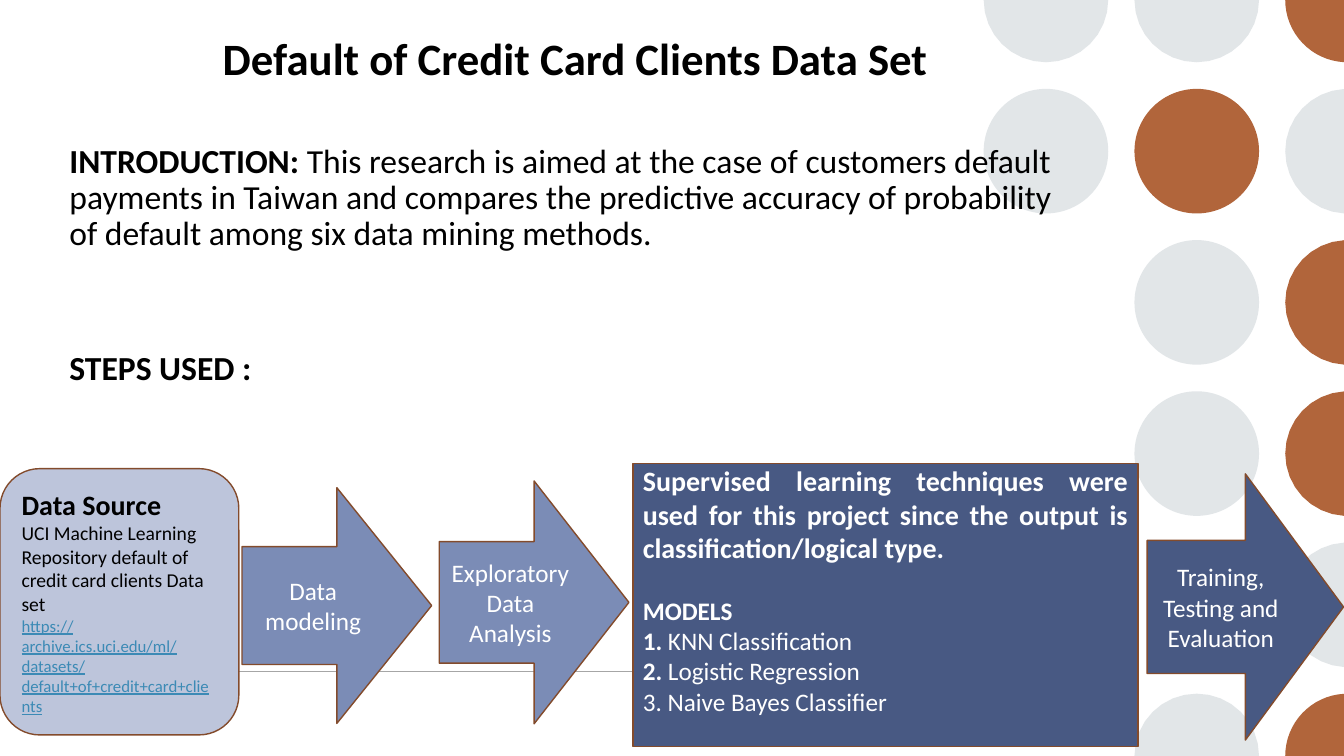
from math import acos, cos, pi, sin

from lxml.etree import SubElement
from pptx import Presentation
from pptx.dml.color import RGBColor
from pptx.enum.shapes import MSO_CONNECTOR as Connector, MSO_SHAPE as Shape
from pptx.enum.text import MSO_ANCHOR as Anchor, MSO_AUTO_SIZE as AutoSize, PP_ALIGN as Align
from pptx.oxml.ns import qn
from pptx.util import Cm, Pt

COLORS = {
    "grey": "E2E6E8", "rust": "B1653B", "rule": "A6A6A6", "border": "834B2C",
    "pale": "BDC5DB", "mid": "7B8CB6", "deep": "485983",
    "black": "000000", "white": "FFFFFF", "link": "3C8AB5",
}
SLIDE_W, SLIDE_H = 33.87, 19.05

# Circle pattern, one string per row: g = grey, r = rust, . = empty
CIRCLE_ROWS = ["ggr", "grg", ".gr", ".gr", "..g", ".gr"]
CIRCLE_COLORS = {"g": "grey", "r": "rust"}
FIRST_X, PITCH_X, PITCH_Y, RADIUS = 26.36, 3.8, 3.81, 1.57
ARC_STEPS = 16

# A paragraph is (paragraph format, [(text, font format), ...])
TITLE = [({"alignment": Align.CENTER, "line_spacing": 0.9},
          [("Default of Credit Card Clients Data Set", {"size": Pt(32), "bold": True})])]
INTRO = [
    ({"line_spacing": 0.9}, [
        ("INTRODUCTION: ", {"size": Pt(24), "bold": True}),
        ("This research is aimed at the case of customers default payments in Taiwan and compares "
         "the predictive accuracy of probability of default among six data mining methods.",
         {"size": Pt(24)})]),
    ({"line_spacing": 0.9, "space_before": Pt(70)},
     [("STEPS USED :", {"size": Pt(24), "bold": True})]),
]
SOURCE = [
    ({}, [("Data Source", {"size": Pt(20), "bold": True})]),
    ({}, [("UCI Machine Learning Repository default of credit card clients Data set",
           {"size": Pt(14)})]),
    ({}, [("https://archive.ics.uci.edu/ml/datasets/default+of+credit+card+clients",
           {"size": Pt(12), "underline": True, "color": "link"})]),
]
MODELS = [
    ({"alignment": Align.JUSTIFY},
     [("Supervised learning techniques were used for this project since the output is "
       "classification/logical type.", {"size": Pt(20), "bold": True})]),
    ({"space_before": Pt(22)}, [("MODELS", {"bold": True})]),
    ({}, [("1. ", {"bold": True}), ("KNN Classification", {})]),
    ({}, [("2. ", {"bold": True}), ("Logistic Regression", {})]),
    ({}, [("3. Naive Bayes Classifier", {})]),
]


def step(text):
    return [({"alignment": Align.CENTER}, [(text, {})])]


# kind, (left, top, width, height) in cm, fill, text colour, anchor, paragraphs
STEPS = [
    (Shape.RIGHT_ARROW, (6.1, 12.29, 4.78, 5.94), "mid", "white", Anchor.MIDDLE,
     step("Data modeling")),
    (Shape.RIGHT_ARROW, (11.07, 12.12, 4.78, 6.12), "mid", "white", Anchor.MIDDLE,
     step("Exploratory Data Analysis")),
    (Shape.RIGHT_ARROW, (28.91, 11.94, 4.95, 6.71), "deep", "white", Anchor.MIDDLE,
     step("Training, Testing and Evaluation")),
    (Shape.RECTANGLE, (15.95, 11.68, 12.73, 7.14), "deep", "white", Anchor.TOP, MODELS),
    (Shape.ROUNDED_RECTANGLE, (0, 11.81, 6.02, 6.71), "pale", "black", Anchor.MIDDLE, SOURCE),
]


def rgb(name):
    return RGBColor.from_string(COLORS[name])


def paint(shape, fill, border=None):
    shape.shadow.inherit = False
    shape.fill.solid()
    shape.fill.fore_color.rgb = rgb(fill)
    if border:
        shape.line.color.rgb = rgb(border)
        shape.line.width = Pt(1)
    else:
        shape.line.fill.background()


def write(frame, paragraphs, color, anchor=Anchor.TOP):
    frame.word_wrap = True
    frame.auto_size = AutoSize.NONE
    frame.vertical_anchor = anchor
    for index, (para_format, spans) in enumerate(paragraphs):
        para = frame.add_paragraph() if index else frame.paragraphs[0]
        for key, value in {"alignment": Align.LEFT, **para_format}.items():
            setattr(para, key, value)
        for text, font_format in spans:
            span = para.add_run()
            span.text = text
            values = {"name": "Calibri", "size": Pt(18), "bold": False, **font_format}
            span.font.color.rgb = rgb(values.pop("color", color))
            for key, value in values.items():
                setattr(span.font, key, value)


def add_circle(page, x, y, color):
    """Draw a circle, cut off where it meets the slide edge."""
    low, high = 0, 2 * pi
    if x + RADIUS > SLIDE_W:
        low = acos((SLIDE_W - x) / RADIUS)
        high -= low
    if y < RADIUS:
        high = min(high, pi)
    elif y > SLIDE_H - RADIUS:
        low = max(low, pi)

    if high - low == 2 * pi:
        circle = page.shapes.add_shape(Shape.OVAL, Cm(x - RADIUS), Cm(y - RADIUS),
                                       Cm(2 * RADIUS), Cm(2 * RADIUS))
    else:
        angles = [low + (high - low) * i / ARC_STEPS for i in range(ARC_STEPS + 1)]
        points = [(Cm(x + RADIUS * cos(a)), Cm(y + RADIUS * sin(a))) for a in angles]
        points.append((Cm(min(x, SLIDE_W)), Cm(y)))  # on the cut, or the slide corner
        builder = page.shapes.build_freeform(*points[0])
        builder.add_line_segments(points[1:], close=True)
        circle = builder.convert_to_shape()
    paint(circle, color)


def main():
    deck = Presentation()
    deck.slide_width, deck.slide_height = Cm(SLIDE_W), Cm(SLIDE_H)
    page = deck.slides.add_slide(deck.slide_layouts[5])

    for row, marks in enumerate(CIRCLE_ROWS):
        for column, mark in enumerate(marks):
            if mark in CIRCLE_COLORS:
                add_circle(page, FIRST_X + column * PITCH_X, row * PITCH_Y, CIRCLE_COLORS[mark])

    rule = page.shapes.add_connector(Connector.STRAIGHT, Cm(1.57), Cm(16.92), Cm(21.95), Cm(16.92))
    rule.line.color.rgb = rgb("rule")
    rule.line.width = Pt(1)
    SubElement(rule._element.spPr, qn("a:effectLst"))

    title = page.shapes.title
    title.left, title.top, title.width, title.height = Cm(1.5), Cm(0.79), Cm(26), Cm(1.6)
    write(title.text_frame, TITLE, "black")
    title._element.getparent().append(title._element)  # bring in front of the circles

    intro = page.shapes.add_textbox(Cm(1.5), Cm(3.51), Cm(26), Cm(7))
    write(intro.text_frame, INTRO, "black")

    for kind, place, fill, color, anchor, paragraphs in STEPS:
        box = page.shapes.add_shape(kind, *map(Cm, place))
        paint(box, fill, "border")
        write(box.text_frame, paragraphs, color, anchor)
        if anchor == Anchor.TOP:
            box.text_frame.margin_top = 0

    deck.save("out.pptx")


if __name__ == "__main__":
    main()
